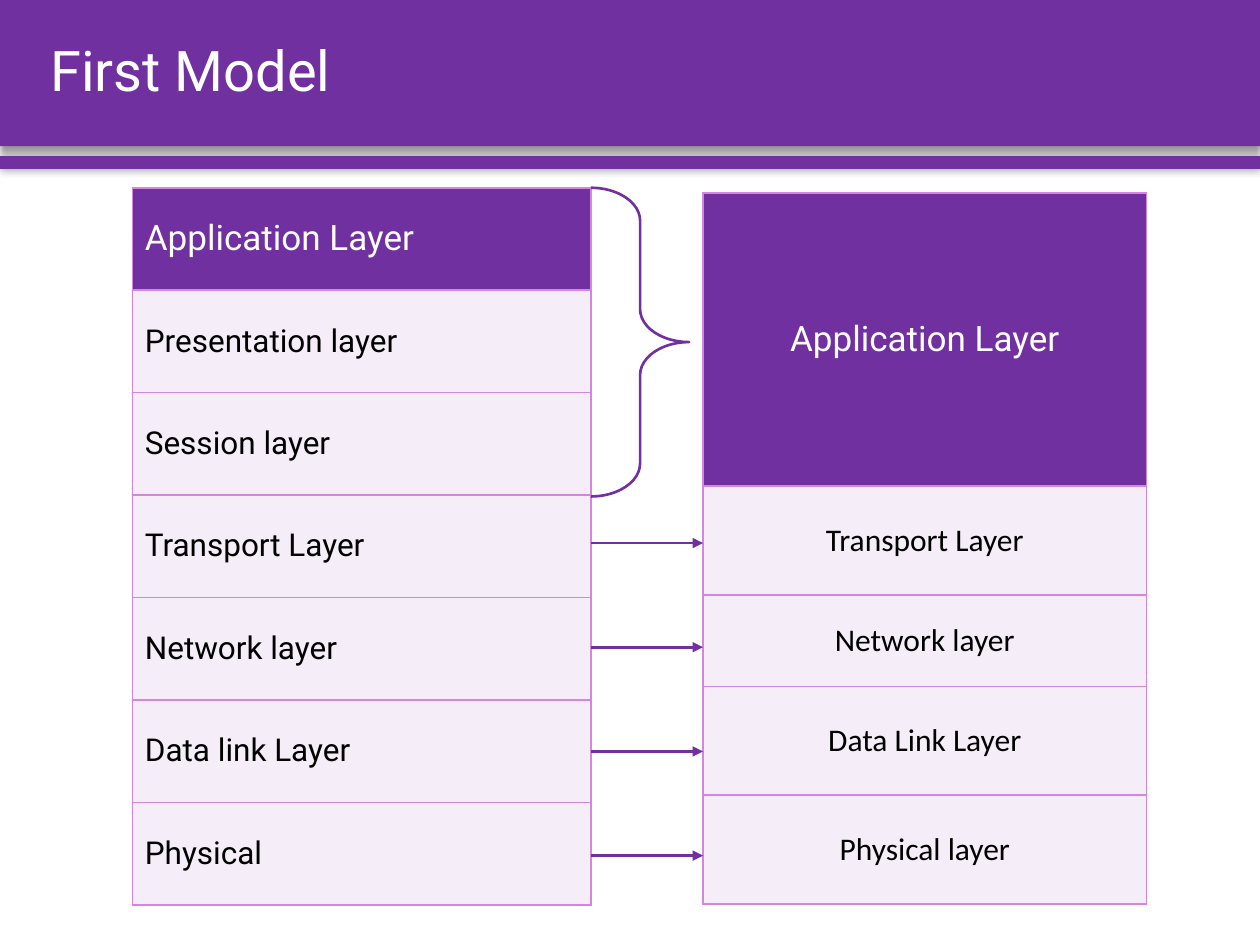
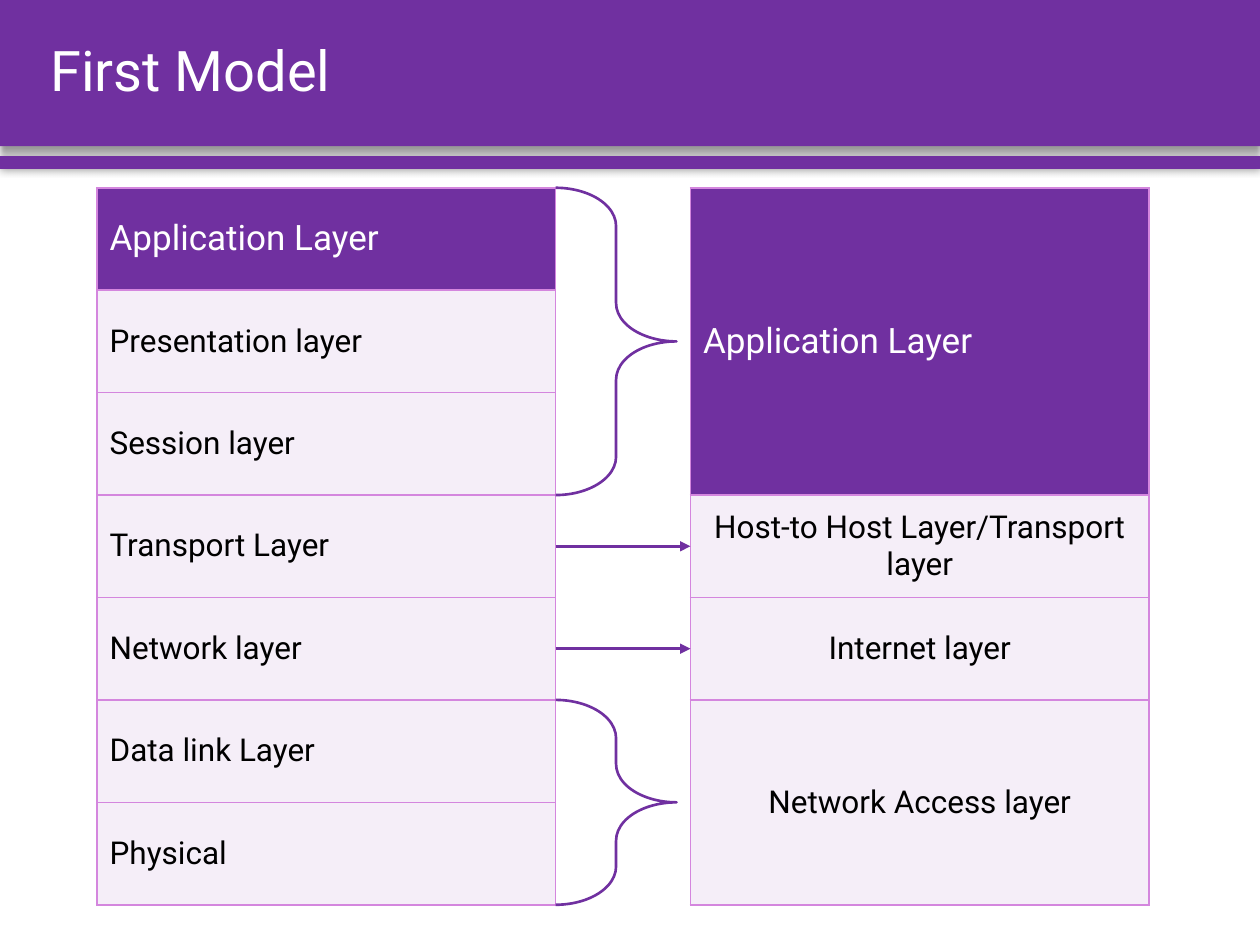
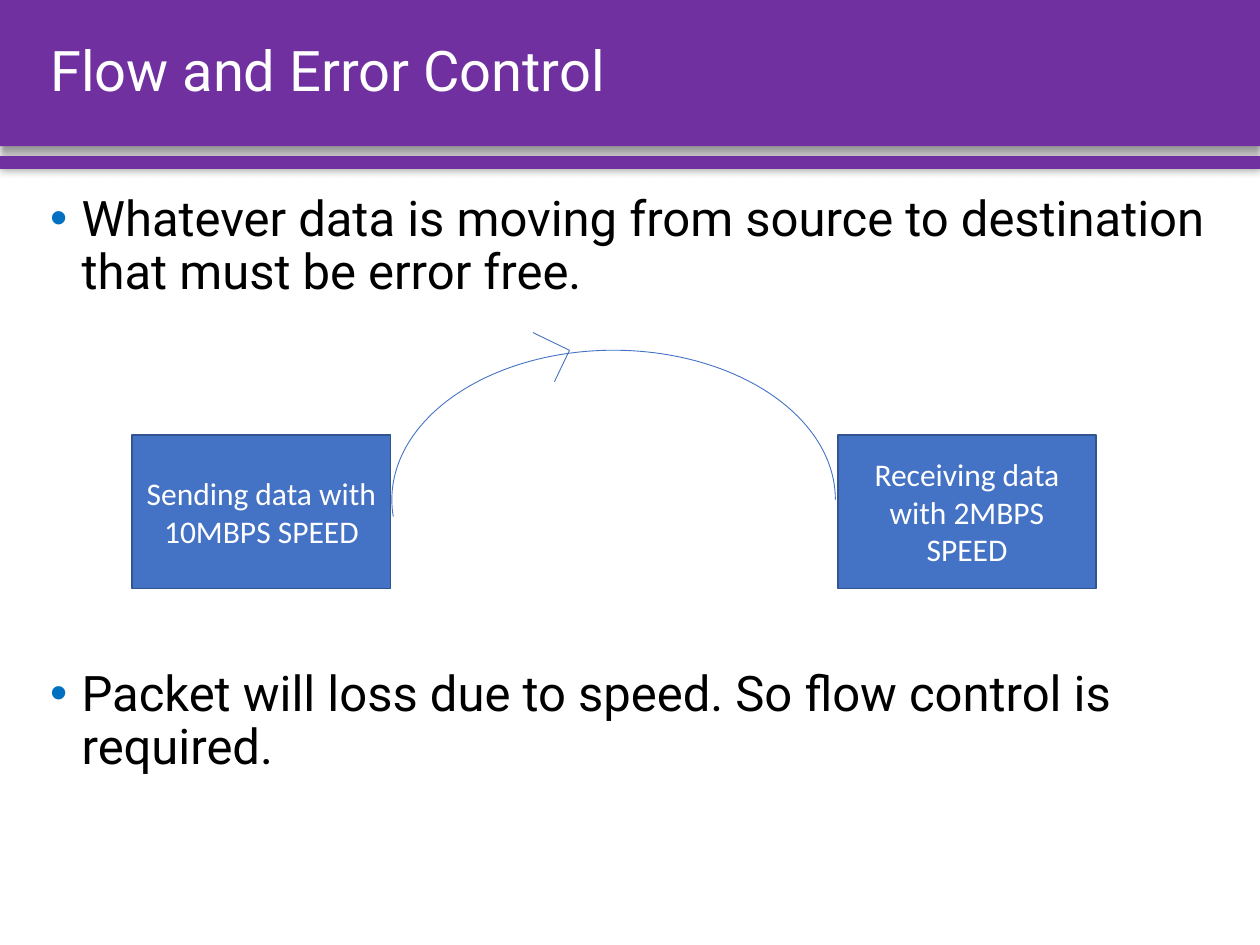
import dataclasses

import lxml.etree
import pptx
import pptx.dml.color
import pptx.enum.shapes
import pptx.enum.text
import pptx.oxml.ns
import pptx.util

SHAPE = pptx.enum.shapes.MSO_SHAPE
ALIGN = pptx.enum.text.PP_ALIGN
ANCHOR = pptx.enum.text.MSO_ANCHOR

COLUMNS, ROWS = 100, 75


@dataclasses.dataclass(frozen=True)
class Theme:
    purple: str = "7030A0"
    pale: str = "F5EEF8"
    border: str = "D486DE"
    blue: str = "4472C4"
    dark_blue: str = "325491"
    bullet: str = "0070C0"
    white: str = "FFFFFF"
    black: str = "000000"
    font: str = "Roboto"
    plain_font: str = "Calibri"
    title_size: int = 32
    body_size: int = 28
    header_size: int = 20
    label_size: int = 18
    arrow_width: float = 1.5
    border_width: float = 1
    thin_width: float = 0.5


def rgb(color):
    return pptx.dml.color.RGBColor.from_string(color)


def add_xml(parent, tag, **attributes):
    child = lxml.etree.SubElement(parent, pptx.oxml.ns.qn(tag))
    for name, value in attributes.items():
        child.set(name, str(value))
    return child


class Deck:
    """Builds slides on a grid of COLUMNS by ROWS in one theme."""

    def __init__(self, theme):
        self.theme = theme
        self.presentation = pptx.Presentation()
        self.presentation.slide_width = pptx.util.Inches(10)
        self.presentation.slide_height = pptx.util.Inches(7.5)
        self.slide = None

    def x(self, columns):
        return round(self.presentation.slide_width * columns / COLUMNS)

    def y(self, rows):
        return round(self.presentation.slide_height * rows / ROWS)

    def box(self, left, top, width, height):
        return self.x(left), self.y(top), self.x(width), self.y(height)

    def new_slide(self, title):
        self.slide = self.presentation.slides.add_slide(self.presentation.slide_layouts[6])
        self.band(0, 11.6, blur=4, distance=3)
        self.band(12.4, 1, blur=5, distance=0)
        frame = self.text_box(3, 0, 94.6, 11.6)
        frame.vertical_anchor = ANCHOR.MIDDLE
        paragraph = frame.paragraphs[0]
        paragraph.line_spacing = 0.9
        self.set_text(paragraph, title, self.theme.title_size, self.theme.white)

    def set_text(self, paragraph, text, size, color, font=None, align=ALIGN.LEFT):
        paragraph.text = text
        paragraph.alignment = align
        paragraph.font.size = pptx.util.Pt(size)
        paragraph.font.name = font or self.theme.font
        paragraph.font.color.rgb = rgb(color)

    def text_box(self, left, top, width, height):
        frame = self.slide.shapes.add_textbox(*self.box(left, top, width, height)).text_frame
        frame.word_wrap = True
        return frame

    def shape(self, kind, place, fill=None, line=None, line_width=1, adjustments=()):
        shape = self.slide.shapes.add_shape(kind, *self.box(*place))
        shape.shadow.inherit = False
        for index, value in enumerate(adjustments):
            shape.adjustments[index] = value
        if fill:
            shape.fill.solid()
            shape.fill.fore_color.rgb = rgb(fill)
        else:
            shape.fill.background()
        if line:
            shape.line.color.rgb = rgb(line)
            shape.line.width = pptx.util.Pt(line_width)
        else:
            shape.line.fill.background()
        return shape

    def band(self, top, height, blur, distance):
        """Add a full-width bar with a soft shadow; blur and distance in points."""
        band = self.shape(SHAPE.RECTANGLE, (0, top, COLUMNS, height), self.theme.purple)
        effects = band._element.spPr.find(pptx.oxml.ns.qn("a:effectLst"))
        shadow = add_xml(effects, "a:outerShdw", blurRad=pptx.util.Pt(blur),
                         dist=pptx.util.Pt(distance), dir=90 * 60000 if distance else 0,
                         algn="t", rotWithShape=0)
        color = add_xml(shadow, "a:srgbClr", val=self.theme.black)
        add_xml(color, "a:alpha", val=40000)

    def labelled_box(self, left, top, width, height, text):
        theme = self.theme
        shape = self.shape(SHAPE.RECTANGLE, (left, top, width, height),
                           theme.blue, theme.dark_blue, theme.border_width)
        shape.text_frame.word_wrap = True
        shape.text_frame.vertical_anchor = ANCHOR.MIDDLE
        self.set_text(shape.text_frame.paragraphs[0], text, theme.label_size,
                      theme.white, theme.plain_font, ALIGN.CENTER)

    def brace(self, left, top, width, height, curl):
        self.shape(SHAPE.RIGHT_BRACE, (left, top, width, height), line=self.theme.purple,
                   line_width=self.theme.arrow_width, adjustments=(curl, 0.5))

    def line(self, start, end, color, width, arrow=False):
        connector = self.slide.shapes.add_connector(
            pptx.enum.shapes.MSO_CONNECTOR.STRAIGHT,
            self.x(start[0]), self.y(start[1]), self.x(end[0]), self.y(end[1]))
        connector.line.color.rgb = rgb(color)
        connector.line.width = pptx.util.Pt(width)
        properties = connector._element.spPr
        if arrow:
            add_xml(properties.find(pptx.oxml.ns.qn("a:ln")), "a:tailEnd", type="triangle")
        add_xml(properties, "a:effectLst")

    def arrows(self, left, right, heights):
        for height in heights:
            self.line((left, height), (right, height), self.theme.purple,
                      self.theme.arrow_width, arrow=True)

    def layer_table(self, left, top, width, layers, font=None,
                    header_align=ALIGN.LEFT, align=ALIGN.LEFT):
        """Add a one-column table of (name, height) layers, the first one highlighted."""
        theme = self.theme
        total = sum(height for _, height in layers)
        table = self.slide.shapes.add_table(
            len(layers), 1, *self.box(left, top, width, total)).table
        table.first_row = table.horz_banding = False
        for index, (name, height) in enumerate(layers):
            table.rows[index].height = self.y(height)
            cell = table.cell(index, 0)
            cell.vertical_anchor = ANCHOR.MIDDLE
            self.cell_borders(cell)
            cell.fill.solid()
            cell.fill.fore_color.rgb = rgb(theme.pale if index else theme.purple)
            paragraph = cell.text_frame.paragraphs[0]
            if index:
                self.set_text(paragraph, name, theme.label_size, theme.black, font, align)
            else:
                self.set_text(paragraph, name, theme.header_size, theme.white,
                              align=header_align)

    def cell_borders(self, cell):
        properties = cell._tc.get_or_add_tcPr()
        for side in ("a:lnL", "a:lnR", "a:lnT", "a:lnB"):
            border = add_xml(properties, side, w=pptx.util.Pt(self.theme.border_width))
            add_xml(add_xml(border, "a:solidFill"), "a:srgbClr", val=self.theme.border)

    def bullets(self, left, top, width, height, texts, gap):
        """Add bulleted paragraphs with gap points between them."""
        frame = self.text_box(left, top, width, height)
        indent = pptx.util.Inches(0.25)
        for index, text in enumerate(texts):
            paragraph = frame.add_paragraph() if index else frame.paragraphs[0]
            properties = paragraph._p.get_or_add_pPr()
            properties.set("marL", str(indent))
            properties.set("indent", str(-indent))
            add_xml(add_xml(properties, "a:buClr"), "a:srgbClr", val=self.theme.bullet)
            add_xml(properties, "a:buFont", typeface="Arial")
            add_xml(properties, "a:buChar", char="•")
            paragraph.line_spacing = 0.9
            if index:
                paragraph.space_before = pptx.util.Pt(gap)
            self.set_text(paragraph, text, self.theme.body_size, self.theme.black)


STACK_TOP = 14.9
STACK_WIDTH = 36.4
LAYER = 8.13
BRACE_GAP = 1.1
SEVEN_LAYERS = [(name, LAYER) for name in (
    "Application Layer", "Presentation layer", "Session layer", "Transport Layer",
    "Network layer", "Data link Layer", "Physical")]


def five_layer_slide(deck):
    left, right = 10.5, 55.8
    edge = left + STACK_WIDTH
    deck.new_slide("First Model")
    deck.layer_table(left, STACK_TOP, STACK_WIDTH, SEVEN_LAYERS)
    deck.brace(edge, STACK_TOP, right - edge - BRACE_GAP, 24.5, curl=0.336)
    deck.layer_table(right, 15.3, 35.2, [
        ("Application Layer", 23.27), ("Transport Layer", 8.65), ("Network layer", 7.25),
        ("Data Link Layer", 8.65), ("Physical layer", 8.65)],
        deck.theme.plain_font, ALIGN.CENTER, ALIGN.CENTER)
    deck.arrows(edge, right, [43.1 + 8.27 * index for index in range(4)])


def four_layer_slide(deck):
    left, right = 7.7, 54.8
    edge = left + STACK_WIDTH
    brace_width = right - edge - BRACE_GAP
    deck.new_slide("First Model")
    deck.layer_table(left, STACK_TOP, STACK_WIDTH, SEVEN_LAYERS)
    deck.layer_table(right, STACK_TOP, STACK_WIDTH, [
        ("Application Layer", 3 * LAYER), ("Host-to Host Layer/Transport layer", LAYER),
        ("Internet layer", LAYER), ("Network Access layer", 2 * LAYER)],
        align=ALIGN.CENTER)
    for first, count in ((0, 3), (5, 2)):
        deck.brace(edge, STACK_TOP + first * LAYER, brace_width, count * LAYER, curl=0.317)
    deck.arrows(edge, right, [STACK_TOP + (index + 0.5) * LAYER for index in (3, 4)])


def flow_control_slide(deck):
    theme = deck.theme
    deck.new_slide("Flow and Error Control")
    deck.bullets(3, STACK_TOP, 94.6, 54.6, [
        "Whatever data is moving from source to destination that must be error free.",
        "Packet will loss due to speed. So flow control is required."], gap=211)
    for left, text in ((10.5, "Sending data with 10MBPS SPEED"),
                       (66.5, "Receiving data with 2MBPS SPEED")):
        deck.labelled_box(left, 34.5, 20.5, 12.2, text)
    deck.shape(SHAPE.ARC, (31.1, 27.8, 35.2, 23.7), line=theme.blue,
               line_width=theme.thin_width, adjustments=(105.34, 0))
    arrow_tip = (45.2, 27.8)
    for barb in ((42.3, 26.4), (44, 30.3)):
        deck.line(barb, arrow_tip, theme.blue, theme.thin_width)


def main():
    deck = Deck(Theme())
    five_layer_slide(deck)
    four_layer_slide(deck)
    flow_control_slide(deck)
    deck.presentation.save("out.pptx")


if __name__ == "__main__":
    main()
